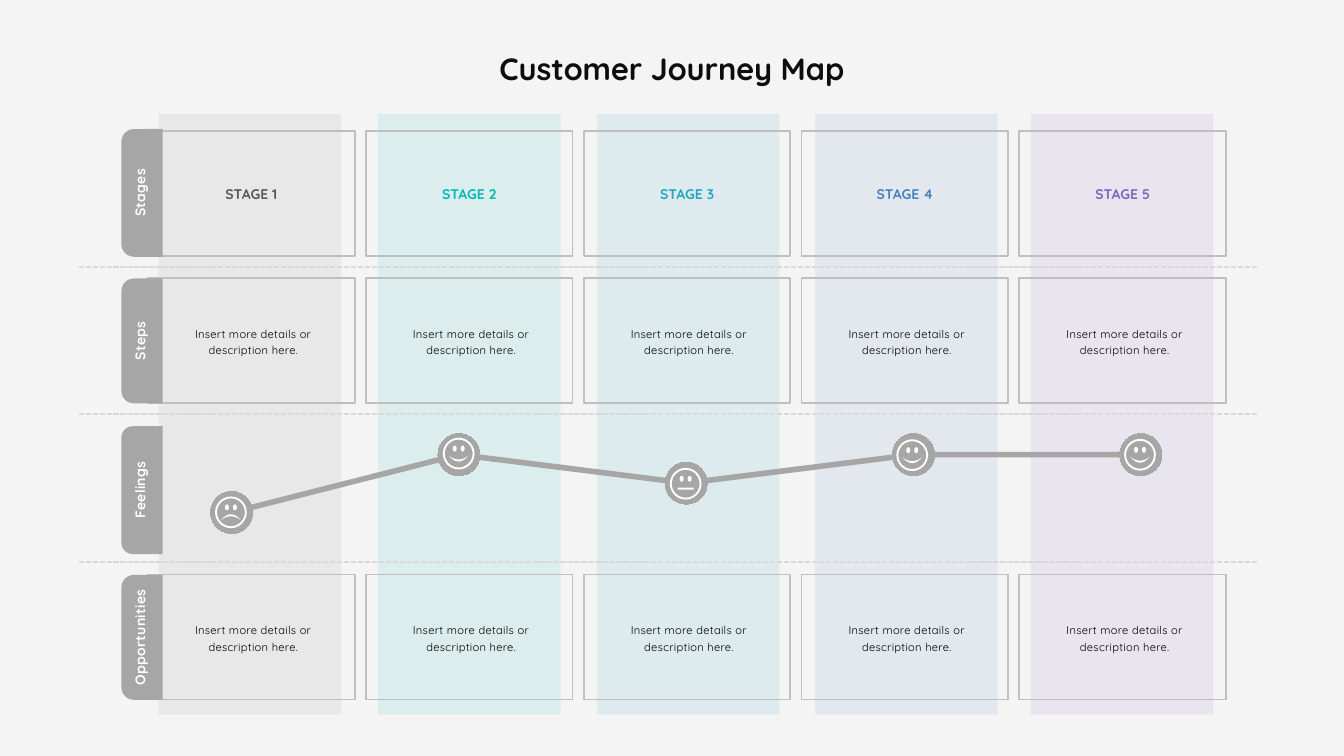
from lxml import etree
from pptx import Presentation
from pptx.chart.data import CategoryChartData
from pptx.dml.color import RGBColor
from pptx.enum.chart import XL_CHART_TYPE, XL_MARKER_STYLE
from pptx.enum.dml import MSO_LINE
from pptx.enum.shapes import MSO_CONNECTOR, MSO_SHAPE
from pptx.enum.text import MSO_ANCHOR, PP_ALIGN
from pptx.oxml import parse_xml
from pptx.oxml.ns import qn
from pptx.util import Cm, Pt

RECT, OVAL, DONUT = MSO_SHAPE.RECTANGLE, MSO_SHAPE.OVAL, MSO_SHAPE.DONUT
TAB = MSO_SHAPE.ROUND_2_SAME_RECTANGLE
STRAIGHT, DASH = MSO_CONNECTOR.STRAIGHT, MSO_LINE.SQUARE_DOT
CENTER, MIDDLE = PP_ALIGN.CENTER, MSO_ANCHOR.MIDDLE
LINE_CHART, CIRCLE = XL_CHART_TYPE.LINE_MARKERS_STACKED, XL_MARKER_STYLE.CIRCLE

FONT = "Quicksand"
HEX = {
    "page": "F4F4F4", "title": "0D0D0D", "body": "000000", "white": "FFFFFF",
    "gray": "A6A6A6", "frame": "BFBFBF", "dash": "D9D9D9",
}
TITLE = "Customer Journey Map"
DETAIL = "Insert more details or description here."
STAGES = [
    ("STAGE 1", "595959", "808080", 4.0),
    ("STAGE 2", "00BAB5", "00BAB5", 9.53),
    ("STAGE 3", "24A5C1", "24A5C1", 15.04),
    ("STAGE 4", "4782BD", "4782BD", 20.54),
    ("STAGE 5", "7F65BC", "7F65BC", 25.98),
]
TABS = [
    ("Stages", 4.86, 3.22, 0.305),
    ("Steps", 8.59, 3.15, 0.305),
    ("Feelings", 12.35, 3.22, 0.272),
    ("Opportunities", 16.06, 3.15, 0.305),
]
MOODS = [33, 100, 67, 100, 100]
FACES = [
    ("sad", 5.82, 12.91), ("happy", 11.56, 11.43), ("flat", 17.28, 12.19),
    ("happy", 22.99, 11.47), ("happy", 28.73, 11.46),
]
MOUTHS = {"happy": (0.05, 0.15, 0.1), "sad": (0.2, -0.15, -0.1)}
DASHES = [6.73, 10.44, 14.17]
DETAIL_ROWS = [7.01, 14.48]


def rgb(code):
    return RGBColor.from_string(code)


def draw(shapes, kind, x, y, w, h, fill=None, line=None):
    shape = shapes.add_shape(kind, Cm(x), Cm(y), Cm(w), Cm(h))
    return paint(shape, fill, line)


def paint(shape, fill, line=None):
    shape.shadow.inherit = False
    if fill:
        shape.fill.solid()
        shape.fill.fore_color.rgb = rgb(fill)
    else:
        shape.fill.background()
    if line:
        shape.line.color.rgb = rgb(line)
        shape.line.width = Pt(1.25)
    else:
        shape.line.fill.background()
    return shape


def write(shape, text, size, color, bold=False, after=0, lead=None, track=0, pad=None):
    frame = shape.text_frame
    frame.text = text
    frame.word_wrap = True
    frame.vertical_anchor = MIDDLE
    if pad:
        (frame.margin_left, frame.margin_top,
         frame.margin_right, frame.margin_bottom) = map(Cm, pad)
    par = frame.paragraphs[0]
    par.alignment = CENTER
    par.space_after = Pt(after)
    if lead:
        par.line_spacing = Pt(lead)
    run = par.runs[0]
    run.font.name, run.font.size, run.font.bold = FONT, Pt(size), bold
    run.font.color.rgb = rgb(color)
    if track:
        run._r.get_or_add_rPr().set("spc", str(track))


def add_bands(shapes):
    for _, _, tint, x in STAGES:
        band = draw(shapes, RECT, x, 2.87, 4.6, 15.14, tint)
        color = band._element.spPr.find(qn("a:solidFill"))[0]
        etree.SubElement(color, qn("a:alpha")).set("val", "10000")


def add_dashes(shapes):
    for y in DASHES:
        rule = shapes.add_connector(STRAIGHT, Cm(1.98), Cm(y), Cm(31.72), Cm(y))
        rule.line.color.rgb = rgb(HEX["dash"])
        rule.line.width = Pt(1.25)
        rule.line.dash_style = DASH
        etree.SubElement(rule._element.spPr, qn("a:effectLst"))


def add_curve(shapes):
    data = CategoryChartData()
    data.categories = ["1", "2", "3", "4", "5"]
    data.add_series("Series 1", MOODS)
    chart = shapes.add_chart(LINE_CHART, Cm(2.41), Cm(10.46), Cm(29.74), Cm(3.25), data).chart
    chart.has_legend = chart.has_title = False
    chart.font.name, chart.font.size = "Arial", Pt(10)
    chart.font.color.rgb = rgb(HEX["body"])
    axis = chart.value_axis
    axis.minimum_scale, axis.maximum_scale, axis.major_unit = 0, 133, 33
    axis.has_major_gridlines = False
    axis.visible = chart.category_axis.visible = False
    chart.plots[0].vary_by_categories = False
    curve = chart.plots[0].series[0]
    curve.smooth = False
    curve.format.line.color.rgb = rgb(HEX["gray"])
    curve.format.line.width = Pt(4)
    marker = curve.marker
    marker.style, marker.size = CIRCLE, 30
    marker.format.fill.solid()
    marker.format.fill.fore_color.rgb = rgb(HEX["gray"])
    marker.format.line.color.rgb = rgb(HEX["gray"])
    area = chart._chartSpace.chart.plotArea
    for old in area.findall(qn("c:layout")):
        area.remove(old)
    place = zip("xywh", (0.019, 0.086, 0.963, 0.891))
    area.insert(0, parse_xml(
        '<c:layout xmlns:c="http://schemas.openxmlformats.org/drawingml/2006/chart">'
        '<c:manualLayout><c:layoutTarget val="inner"/>'
        '<c:xMode val="edge"/><c:yMode val="edge"/>'
        + "".join(f'<c:{key} val="{val}"/>' for key, val in place)
        + "</c:manualLayout></c:layout>"))


def add_boxes(shapes):
    for i, (name, color, _, _) in enumerate(STAGES):
        x = 3.73 + 5.49 * i
        box = draw(shapes, RECT, x, 3.3, 5.21, 3.16, line=HEX["frame"])
        write(box, name, 10, color, True, 16)
        for y in DETAIL_ROWS:
            box = draw(shapes, RECT, x, y, 5.21, 3.15, line=HEX["frame"])
            write(box, DETAIL, 8, HEX["body"], after=16, lead=11.6, track=20,
                  pad=(0.71, 0.13, 0.61, 0.13))


def add_face(shapes, mood, x, y):
    white = HEX["white"]
    face = shapes.add_group_shape().shapes
    ring = draw(face, DONUT, x - 0.4, y - 0.4, 0.8, 0.8, white)
    ring.adjustments[0] = 0.06
    for side in (-0.15, 0.05):
        draw(face, OVAL, x + side, y - 0.2, 0.1, 0.15, white)
    if mood == "flat":
        draw(face, RECT, x - 0.2, y + 0.1, 0.4, 0.05, white)
        return
    base, outer, inner = MOUTHS[mood]
    steps = [i / 8 for i in range(-8, 9)]
    edge = [(t, outer) for t in steps] + [(t, inner) for t in reversed(steps)]
    points = [(Cm(x + 0.25 * t), Cm(y + base + bend * (1 - t * t))) for t, bend in edge]
    pen = face.build_freeform(*points[0])
    pen.add_line_segments(points[1:], close=True)
    paint(pen.convert_to_shape(), white)


def add_tabs(shapes):
    for name, mid, long, curve in TABS:
        tab = draw(shapes, TAB, 3.58 - long / 2, mid - 0.52, long, 1.04, HEX["gray"])
        tab.rotation = 270
        tab.adjustments[0], tab.adjustments[1] = curve, 0
        write(tab, name, 10, HEX["white"], True, 2.7, track=20, pad=(0, 0, 0, 0.2))


def main():
    deck = Presentation()
    deck.slide_width, deck.slide_height = Cm(33.87), Cm(19.05)
    slide = deck.slides.add_slide(deck.slide_layouts[5])
    slide.background.fill.solid()
    slide.background.fill.fore_color.rgb = rgb(HEX["page"])
    shapes = slide.shapes
    title = shapes.title
    title.left, title.top, title.width, title.height = map(Cm, (10.82, 0.99, 12.22, 1.47))
    write(title, TITLE, 22, HEX["title"], True)
    add_bands(shapes)
    add_dashes(shapes)
    add_curve(shapes)
    add_boxes(shapes)
    for face in FACES:
        add_face(shapes, *face)
    add_tabs(shapes)
    deck.save("out.pptx")


if __name__ == "__main__":
    main()
